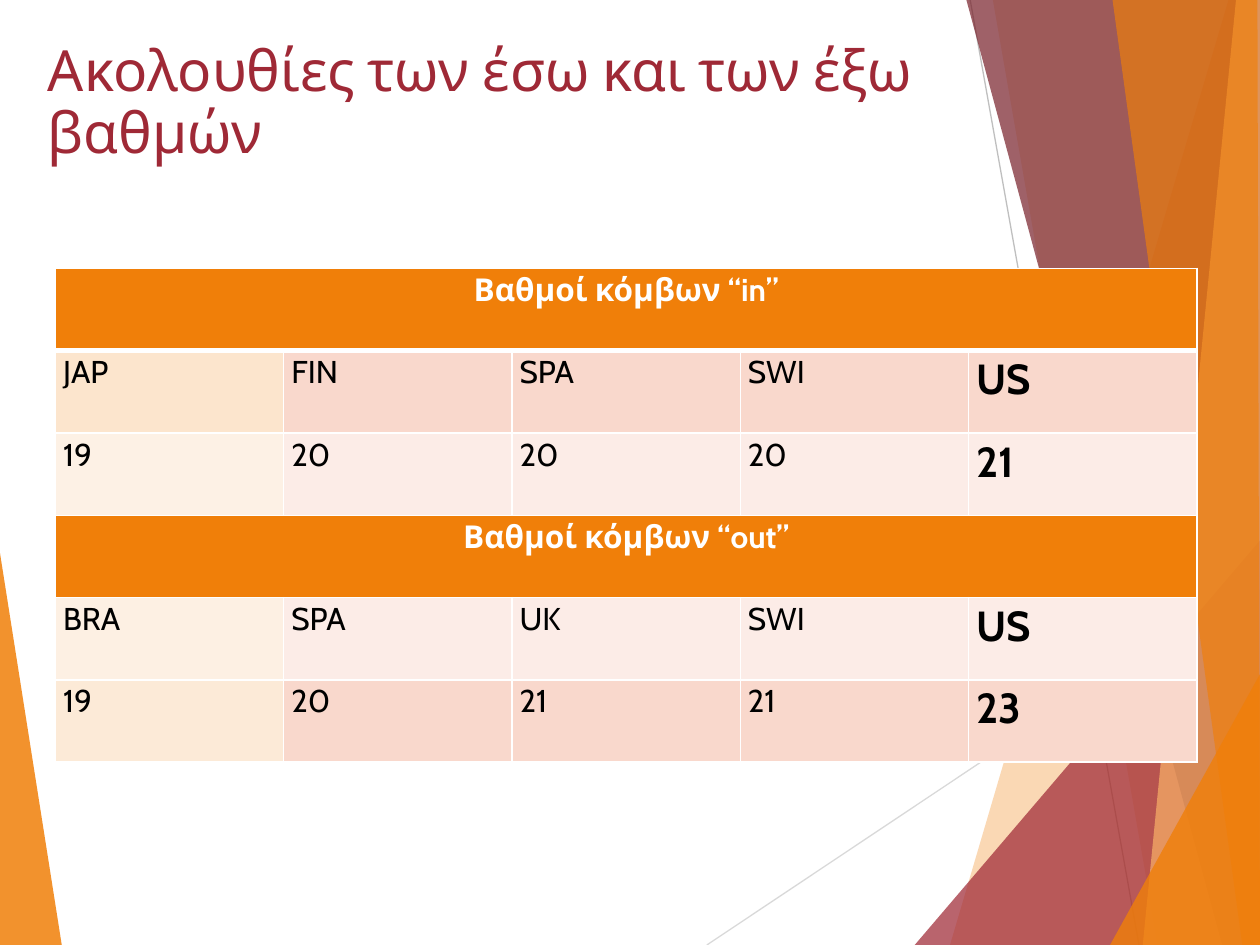
import pptx
import pptx.util
import pptx.dml.color
import pptx.enum.text
import pptx.oxml
import pptx.oxml.ns
from pptx.util import Inches

# Content
TITLE = "Ακολουθίες των έσω και των έξω βαθμών"
DEGREE_GROUPS = [
    ("Βαθμοί κόμβων “in”",
     ["JAP", "FIN", "SPA", "SWI", "US"], [19, 20, 20, 20, 21]),
    ("Βαθμοί κόμβων “out”",
     ["BRA", "SPA", "UK", "SWI", "US"], [19, 20, 21, 21, 23]),
]

THEME = {
    "font": "Cabin", "title_size": 32.4, "cell_size": 18, "top_size": 24,
    "orange": "F07F09", "red": "9F2936", "dark_red": "771F28",
    "peach": "F9B268", "white": "FFFFFF", "black": "000000",
    "dark_band": "F9D8CC", "light_band": "FCECE7",
}
# Per group and row: opacity of the first column, colour of the others
BANDS = [
    [(20, "dark_band"), (10, "light_band")],
    [(11, "light_band"), (16, "dark_band")],
]

# Background facets: outline, colour, opacity in percent
LEFT_FACET = ([(0, 4.39), (0.49, 7.5), (0, 7.5)], "orange", 85)
THIN_LINES = [((5.61, 7.5), (10, 4.57), "D9D9D9"),
              ((7.7, 0), (9.04, 7.5), "BFBFBF")]
RIGHT_FACETS = [
    ([(9.75, 0), (7.54, 7.5), (10, 7.5), (10, 0)], "orange", 30),
    ([(7.88, 0), (9.19, 7.5), (10, 7.5), (10, 0)], "orange", 20),
    ([(7.26, 7.5), (10, 4.29), (10, 7.5)], "red", 72),
    ([(7.67, 0), (9.7, 7.5), (10, 7.5), (10, 0)], "dark_red", 70),
    ([(9.81, 0), (9.07, 7.5), (10, 7.5), (10, 0)], "peach", 70),
    ([(8.83, 0), (9.86, 7.5), (10, 7.5), (9.98, 0)], "orange", 65),
    ([(8.81, 7.5), (10, 5.35), (10, 7.5)], "orange", 80),
]


def rgb(name):
    return pptx.dml.color.RGBColor.from_string(THEME.get(name, name))


def set_fill(owner, color, opacity=100):
    owner.fill.solid()
    owner.fill.fore_color.rgb = rgb(color)
    if opacity < 100:
        holder = owner._tc if hasattr(owner, "_tc") else owner.element.spPr
        for value in holder.iter(pptx.oxml.ns.qn("a:srgbClr")):
            value.append(pptx.oxml.parse_xml(
                f'<a:alpha {pptx.oxml.ns.nsdecls("a")} val="{opacity * 1000}"/>'))


def write(frame, text, size, color="black", bold=False, align="LEFT", spacing=1.07):
    paragraph = frame.paragraphs[0]
    paragraph.alignment = getattr(pptx.enum.text.PP_ALIGN, align)
    paragraph.line_spacing = spacing
    run = paragraph.add_run()
    run.text = str(text)
    run.font.name = THEME["font"]
    run.font.size = pptx.util.Pt(size)
    run.font.bold = bold
    run.font.color.rgb = rgb(color)


def add_facet(slide, points, color, opacity):
    corners = [(Inches(x), Inches(y)) for x, y in points]
    builder = slide.shapes.build_freeform(*corners[0])
    builder.add_line_segments(corners[1:], close=True)
    facet = builder.convert_to_shape()
    facet.shadow.inherit = False
    facet.line.fill.background()
    set_fill(facet, color, opacity)


def add_thin_line(slide, start, end, color):
    line = slide.shapes.add_connector(
        pptx.enum.shapes.MSO_CONNECTOR.STRAIGHT,
        *(Inches(v) for v in start + end))
    line.line.color.rgb = rgb(color)
    line.line.width = pptx.util.Pt(0.75)
    line.element.spPr.append(pptx.oxml.parse_xml(
        f'<a:effectLst {pptx.oxml.ns.nsdecls("a")}/>'))


def format_cell(cell, color, opacity=100, top=1, bottom=1):
    cell.margin_left = cell.margin_right = Inches(0.06)
    cell.margin_top = cell.margin_bottom = 0
    properties = cell._tc.get_or_add_tcPr()
    for side, width in zip("LRTB", (1, 1, top, bottom)):
        properties.append(pptx.oxml.parse_xml(
            f'<a:ln{side} {pptx.oxml.ns.nsdecls("a")} w="{width * 12700}">'
            f'<a:solidFill><a:srgbClr val="{THEME["white"]}"/></a:solidFill>'
            f'</a:ln{side}>'))
    set_fill(cell, color, opacity)


def add_degree_table(slide):
    columns = len(DEGREE_GROUPS[0][1])
    table = slide.shapes.add_table(
        3 * len(DEGREE_GROUPS), columns,
        Inches(0.44), Inches(2.13), Inches(9.06), Inches(3.92)).table

    for group, (heading, *rows) in enumerate(DEGREE_GROUPS):
        first_row = 3 * group
        rule = 3 if group == 0 else 1

        # Heading across all columns
        for col in range(columns):
            format_cell(table.cell(first_row, col), "orange", bottom=rule)
        heading_cell = table.cell(first_row, 0)
        heading_cell.merge(table.cell(first_row, columns - 1))
        write(heading_cell.text_frame, heading, THEME["cell_size"],
              color="white", bold=True, align="CENTER")

        # Countries, then their degrees; the highest comes last
        for offset, (values, band) in enumerate(zip(rows, BANDS[group])):
            opacity, band_color = band
            for col, value in enumerate(values):
                cell = table.cell(first_row + 1 + offset, col)
                top = rule if offset == 0 else 1
                if col == 0:
                    format_cell(cell, "orange", opacity, top=top)
                else:
                    format_cell(cell, band_color, top=top)
                highest = col == columns - 1
                write(cell.text_frame, value,
                      THEME["top_size" if highest else "cell_size"], bold=highest)


def main():
    deck = pptx.Presentation()
    deck.slide_width, deck.slide_height = Inches(10), Inches(7.5)
    slide = deck.slides.add_slide(deck.slide_layouts[5])

    # Background
    add_facet(slide, *LEFT_FACET)
    for thin_line in THIN_LINES:
        add_thin_line(slide, *thin_line)
    for facet in RIGHT_FACETS:
        add_facet(slide, *facet)

    # Title, brought in front of the background
    title = slide.shapes.title
    slide.shapes.element.append(title.element)
    title.left, title.top = Inches(0.28), Inches(0.29)
    title.width, title.height = Inches(7.56), Inches(1.44)
    frame = title.text_frame
    frame.word_wrap = True
    frame.auto_size = pptx.enum.text.MSO_AUTO_SIZE.NONE
    frame.vertical_anchor = pptx.enum.text.MSO_ANCHOR.TOP
    write(frame, TITLE, THEME["title_size"], color="red", spacing=0.9)

    add_degree_table(slide)
    deck.save("out.pptx")


if __name__ == "__main__":
    main()
